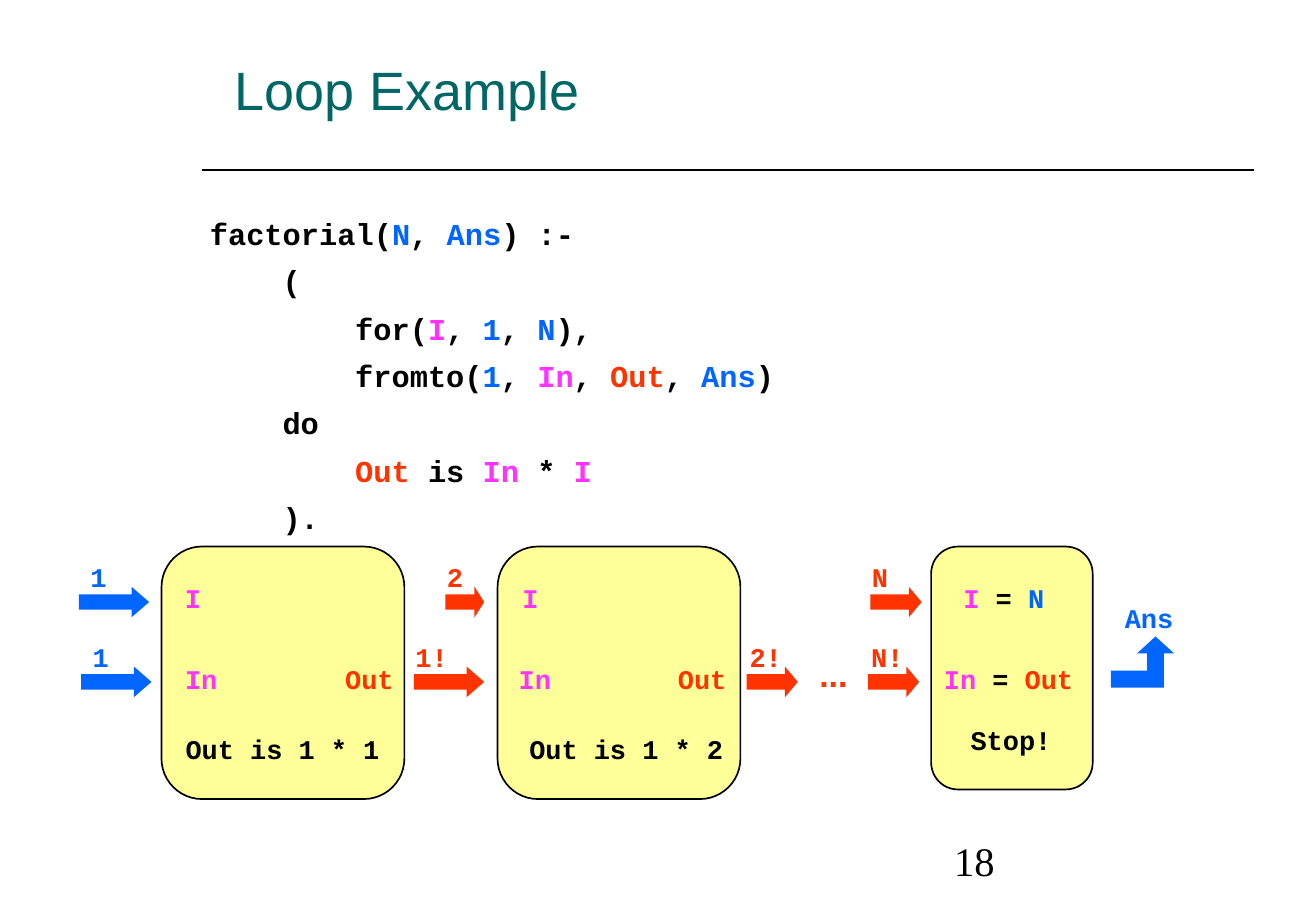
"""Build the slide that unrolls a factorial loop into its iterations."""
import pptx
import pptx.dml.color
import pptx.enum.shapes
import pptx.enum.text
import pptx.oxml.ns
import pptx.util
from lxml import etree

Cm, Pt = pptx.util.Cm, pptx.util.Pt
ALIGN = pptx.enum.text.PP_ALIGN
ANCHOR = pptx.enum.text.MSO_ANCHOR
SHAPES = pptx.enum.shapes.MSO_SHAPE

COLORS = {"title": "006666", "text": "000000", "given": "0066FF",
          "local": "FF33FF", "result": "FF3300", "box": "FFFF99"}
CODE_FONT = {"name": "Courier New", "size": Pt(18), "bold": True}
LABEL_FONT = {**CODE_FONT, "size": Pt(16)}
TITLE_FONT = {"name": "Arial", "size": Pt(32), "bold": False}
DOTS_FONT = {"name": "Arial", "size": Pt(20), "bold": True}
NUMBER_FONT = {"name": "Times New Roman", "size": Pt(24), "bold": False}
FRAME = {"margin_left": Cm(0.25), "margin_right": Cm(0.25),
         "margin_top": Cm(0.13), "margin_bottom": Cm(0.13),
         "auto_size": pptx.enum.text.MSO_AUTO_SIZE.NONE}
CENTERED = {"alignment": ALIGN.CENTER, "line_spacing": 0.96}
CODE_INDENT = 1.52

CODE = [
    (0, [("factorial(", "text"), ("N", "given"), (", ", "text"),
         ("Ans", "given"), (") :-", "text")]),
    (1, [("(", "text")]),
    (2, [("for(", "text"), ("I", "local"), (", ", "text"), ("1", "given"),
         (", ", "text"), ("N", "given"), ("),", "text")]),
    (2, [("fromto(", "text"), ("1", "given"), (", ", "text"),
         ("In", "local"), (", ", "text"), ("Out", "result"),
         (", ", "text"), ("Ans", "given"), (")", "text")]),
    (1, [("do", "text")]),
    (2, [("Out", "result"), (" is ", "text"), ("In", "local"),
         (" * ", "text"), ("I", "local")]),
    (1, [(").", "text")]),
]
BOXES = [(3.38, 5.08, 5.28), (10.41, 5.08, 5.28), (19.48, 3.38, 5.08)]
ARROW_ROWS = {
    12.27: [(1.65, 1.47, "given"), (9.32, 0.81, "result"),
            (18.21, 1.07, "result")],
    13.94: [(1.7, 1.47, "given"), (8.66, 1.47, "result"),
            (15.62, 1.07, "result"), (18.16, 1.07, "result")],
}
LABEL_ROWS = {
    11.64: [(1.63, [("1", "given")]), (9.09, [("2", "result")]),
            (17.98, [("N", "result")])],
    12.07: [(3.61, [("I", "local")]), (10.67, [("I", "local")]),
            (19.89, [("I", "local"), (" = ", "text"), ("N", "given")])],
    12.5: [(23.27, [("Ans", "given")])],
    13.31: [(1.68, [("1", "given")]), (8.43, [("1!", "result")]),
            (15.42, [("2!", "result")]), (17.96, [("N!", "result")])],
    13.77: [(3.61, [("In", "local")]), (6.96, [("Out", "result")]),
            (10.59, [("In", "local")]), (13.92, [("Out", "result")]),
            (19.48, [("In ", "local"), ("= ", "text"),
                     ("Out", "result")])],
    15.04: [(20.04, [("Stop!", "text")])],
    15.24: [(3.61, [("Out is 1 * 1", "text")]),
            (10.8, [("Out is 1 * 2", "text")])],
}


def color(name):
    """Return the named colour."""
    return pptx.dml.color.RGBColor.from_string(COLORS[name])


def apply(target, values):
    """Set every attribute in values on the target."""
    for name, value in values.items():
        setattr(target, name, value)


def place(shape, left, top, width, height):
    """Move and size a shape, in centimetres."""
    apply(shape, {"left": Cm(left), "top": Cm(top),
                  "width": Cm(width), "height": Cm(height)})


def write(paragraph, runs, font, **layout):
    """Fill a paragraph with coloured runs."""
    apply(paragraph, layout)
    for text, color_name in runs:
        run = paragraph.add_run()
        run.text = text
        apply(run.font, font)
        run.font.color.rgb = color(color_name)


def add_text(slide, bounds, runs, font, anchor=ANCHOR.MIDDLE, **layout):
    """Add a one-line text box."""
    shape = slide.shapes.add_textbox(*map(Cm, bounds))
    apply(shape.text_frame, {**FRAME, "word_wrap": False,
                             "vertical_anchor": anchor})
    write(shape.text_frame.paragraphs[0], runs, font, **layout)


def add_label(slide, left, top, runs):
    """Add a code label as wide as its characters."""
    length = sum(len(text) for text, _ in runs)
    add_text(slide, (left, top, 0.52 + 0.34 * length, 0.91), runs,
             LABEL_FONT, **CENTERED)


def add_block(slide, kind, bounds, fill, outlined=False):
    """Add a filled preset shape."""
    shape = slide.shapes.add_shape(kind, *map(Cm, bounds))
    shape.shadow.inherit = False
    shape.fill.solid()
    shape.fill.fore_color.rgb = color(fill)
    if outlined:
        shape.line.color.rgb = color("text")
        shape.line.width = Pt(1)
    else:
        shape.line.fill.background()
    return shape


def add_arrow(slide, left, top, width, fill):
    """Add a right arrow whose head takes a quarter of its width."""
    height = 0.64
    shape = add_block(slide, SHAPES.RIGHT_ARROW,
                      (left, top, width, height), fill)
    shape.adjustments[1] = width / height / 4


def add_answer_arrow(slide):
    """Add the bent arrow that leads to the answer."""
    shape = add_block(slide, SHAPES.BENT_UP_ARROW,
                      (23.24, 13.31, 1.32, 1.07), "given")
    for index, value in enumerate((0.33, 0.36, 0.33)):
        shape.adjustments[index] = value


def add_rule(slide):
    """Add the line under the title."""
    line = slide.shapes.add_connector(
        pptx.enum.shapes.MSO_CONNECTOR.STRAIGHT,
        Cm(4.22), Cm(3.56), Cm(26.24), Cm(3.56))
    line.line.color.rgb = color("text")
    line.line.width = Pt(1)
    etree.SubElement(line._element.spPr, pptx.oxml.ns.qn("a:effectLst"))


def fill_title(title):
    """Place and write the title."""
    place(title, 4.65, 1.07, 16.03, 1.6)
    apply(title.text_frame, {**FRAME, "vertical_anchor": ANCHOR.MIDDLE})
    write(title.text_frame.paragraphs[0], [("Loop Example", "title")],
          TITLE_FONT, alignment=ALIGN.LEFT)


def fill_code(body):
    """Place the body and write the code with indented lines."""
    place(body, 4.14, 4.32, 14, 7.01)
    frame = body.text_frame
    apply(frame, {**FRAME, "vertical_anchor": ANCHOR.TOP})
    for index, (level, runs) in enumerate(CODE):
        paragraph = frame.add_paragraph() if index else frame.paragraphs[0]
        write(paragraph, runs, CODE_FONT, space_before=Pt(0),
              line_spacing=Pt(28.1 if index else 22.9))
        properties = paragraph._p.get_or_add_pPr()
        properties.set("marL", str(Cm(CODE_INDENT * level)))
        properties.set("indent", "0")
        etree.SubElement(properties, pptx.oxml.ns.qn("a:buNone"))


def main():
    """Build and save the slide."""
    presentation = pptx.Presentation()
    apply(presentation, {"slide_width": Cm(27.53), "slide_height": Cm(19.05)})
    slide = presentation.slides.add_slide(presentation.slide_layouts[1])
    add_rule(slide)
    fill_title(slide.shapes.title)
    fill_code(slide.placeholders[1])
    for left, width, height in BOXES:
        add_block(slide, SHAPES.ROUNDED_RECTANGLE,
                  (left, 11.43, width, height), "box", outlined=True)
    for top, arrows in ARROW_ROWS.items():
        for left, width, fill in arrows:
            add_arrow(slide, left, top, width, fill)
    add_answer_arrow(slide)
    for top, labels in LABEL_ROWS.items():
        for left, runs in labels:
            add_label(slide, left, top, runs)
    add_text(slide, (16.89, 13.54, 1.09, 1.09), [("...", "result")],
             DOTS_FONT, alignment=ALIGN.CENTER)
    add_text(slide, (19.71, 17.35, 6.43, 1.27), [("18", "text")],
             NUMBER_FONT, ANCHOR.BOTTOM, alignment=ALIGN.LEFT)
    presentation.save("out.pptx")


if __name__ == "__main__":
    main()
